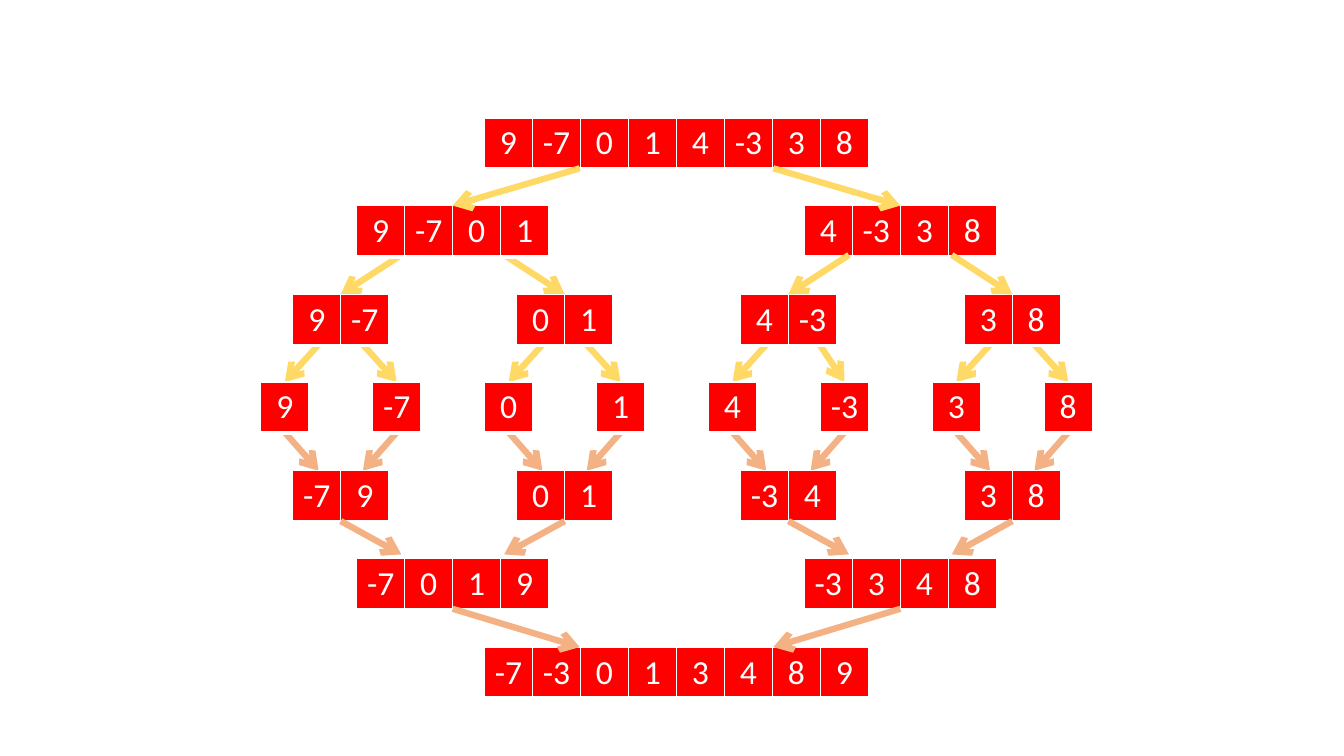
from pptx import Presentation
from pptx.dml.color import RGBColor
from pptx.enum.shapes import MSO_CONNECTOR
from pptx.enum.text import PP_ALIGN
from pptx.oxml import parse_xml
from pptx.oxml.ns import nsdecls
from pptx.util import Pt

PX = 9144
NUMBERS = [9, -7, 0, 1, 4, -3, 3, 8]
SPLIT_ROWS = {8: 0, 4: 1, 2: 2, 1: 3}
MERGE_ROWS = {1: 3, 2: 4, 4: 5, 8: 6}
ARROW_OFFSETS = {8: 96, 4: 51, 2: 22}
ARRAY_WIDTH = 381
ARRAY_HEIGHT = 50
TWO_ROWS = 175
TREE_BOX = (227, 117, 888)
SPLIT_COLOUR = "FFD966"
MERGE_COLOUR = "F4B183"


def px(length):
    return round(length * PX)


def colour(code):
    return RGBColor.from_string(code)


def block_centre(box, size, index):
    left, _, width = box
    return left + width * (index + 0.5) * size / len(NUMBERS)


def row_top(box, row):
    return box[1] + row * TWO_ROWS // 2


def add_borders(cell):
    properties = cell._tc.get_or_add_tcPr()
    for position, (side, points) in enumerate(
        [("lnL", 1), ("lnR", 1), ("lnT", 1), ("lnB", 3)]
    ):
        border = parse_xml(
            f'<a:{side} {nsdecls("a")} w="{Pt(points)}"><a:solidFill>'
            f'<a:srgbClr val="FFFFFF"/></a:solidFill></a:{side}>'
        )
        properties.insert(position, border)


def add_array(slide, box, row, index, values):
    size = len(values)
    width = ARRAY_WIDTH * size / len(NUMBERS)
    left = block_centre(box, size, index) - width / 2
    array = slide.shapes.add_table(
        1, size, px(left), px(row_top(box, row)), px(width), px(ARRAY_HEIGHT)
    ).table
    array.first_row = False
    array.horz_banding = False
    for cell, value in zip(array.iter_cells(), values):
        cell.margin_left = cell.margin_right = px(5)
        cell.fill.solid()
        cell.fill.fore_color.rgb = colour("FF0000")
        add_borders(cell)
        cell.text_frame.text = str(value)
        number = cell.text_frame.paragraphs[0]
        number.alignment = PP_ALIGN.CENTER
        font = number.runs[0].font
        font.name = "Calibri"
        font.size = Pt(24)
        font.color.rgb = colour("FFFFFF")


def add_arrow(slide, start, end, code):
    arrow = slide.shapes.add_connector(
        MSO_CONNECTOR.STRAIGHT, *map(px, start), *map(px, end)
    )
    arrow.line.color.rgb = colour(code)
    arrow.line.width = Pt(4.5)
    arrow.line._get_or_add_ln().append(
        parse_xml(f'<a:tailEnd {nsdecls("a")} type="arrow"/>')
    )
    arrow._element.spPr.append(parse_xml(f'<a:effectLst {nsdecls("a")}/>'))


def add_split(slide, box, size, index):
    half = size // 2
    start_y = row_top(box, SPLIT_ROWS[size]) + ARRAY_HEIGHT - (1 if size == 4 else 0)
    end_y = row_top(box, SPLIT_ROWS[half])
    for part, side in enumerate((-1, 1)):
        start_x = block_centre(box, size, index) + side * ARROW_OFFSETS[size]
        if (size, index, part) == (2, 2, 1):
            start_x += 9
        end_x = block_centre(box, half, 2 * index + part)
        add_arrow(slide, (start_x, start_y), (end_x, end_y), SPLIT_COLOUR)


def add_merge(slide, box, size, index):
    half = size // 2
    start_y = row_top(box, MERGE_ROWS[half]) + ARRAY_HEIGHT
    end_y = row_top(box, MERGE_ROWS[size]) - (4 if size == 4 else 0)
    for part, side in enumerate((-1, 1)):
        start_x = block_centre(box, half, 2 * index + part)
        end_x = block_centre(box, size, index) + side * ARROW_OFFSETS[size]
        add_arrow(slide, (start_x, start_y), (end_x, end_y), MERGE_COLOUR)


def add_arrays(slide, box):
    for size, row in SPLIT_ROWS.items():
        for index in range(len(NUMBERS) // size):
            block = NUMBERS[index * size:(index + 1) * size]
            add_array(slide, box, row, index, block)
            if size > 1:
                add_array(slide, box, MERGE_ROWS[size], index, sorted(block))


def add_merge_sort(slide, box):
    for index in range(4):
        add_merge(slide, box, 2, index)
        add_split(slide, box, 2, index)
    add_split(slide, box, 4, 0)
    add_arrays(slide, box)
    for index in range(2):
        add_merge(slide, box, 4, index)
    add_merge(slide, box, 8, 0)
    add_split(slide, box, 8, 0)
    add_split(slide, box, 4, 1)


def main():
    presentation = Presentation()
    presentation.slide_width = px(1333)
    presentation.slide_height = px(750)
    slide = presentation.slides.add_slide(presentation.slide_layouts[6])
    add_merge_sort(slide, TREE_BOX)
    presentation.save("out.pptx")


if __name__ == "__main__":
    main()
